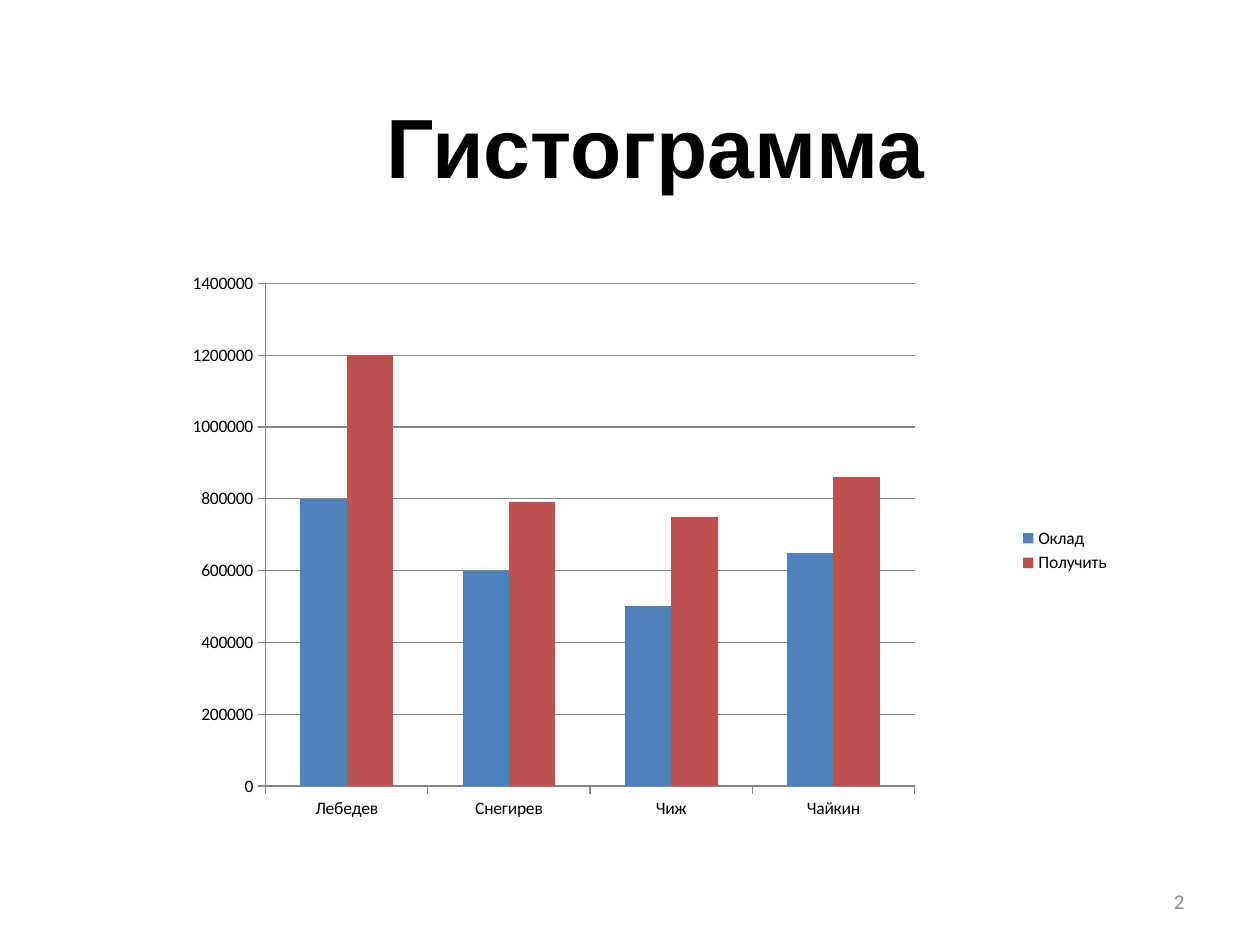
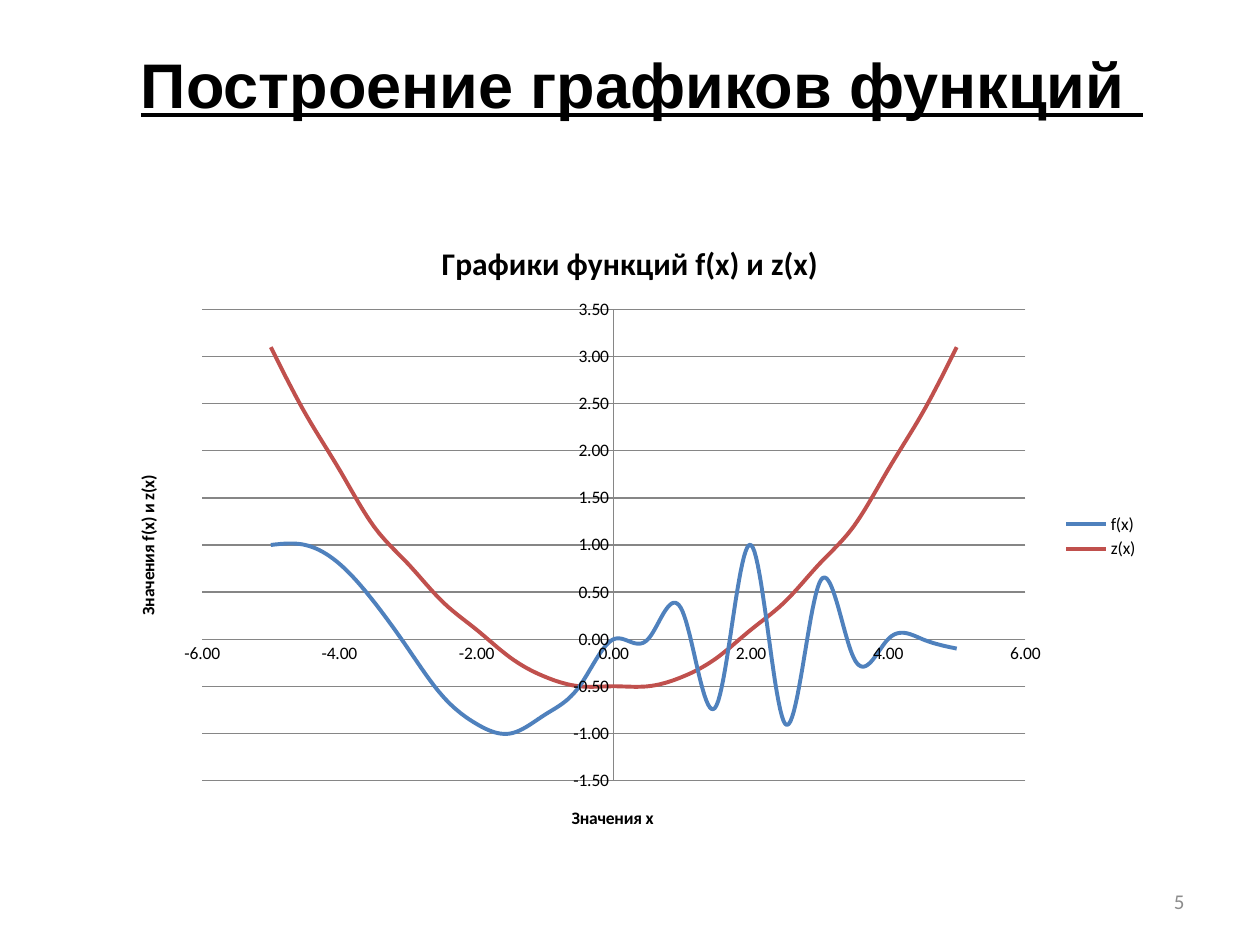
from math import sin
from pptx import Presentation
from pptx.chart.data import CategoryChartData, XyChartData
from pptx.dml.color import RGBColor
from pptx.enum.chart import XL_CHART_TYPE, XL_LEGEND_POSITION, XL_TICK_MARK
from pptx.enum.text import MSO_ANCHOR, PP_ALIGN
from pptx.oxml import parse_xml
from pptx.oxml.ns import nsdecls, qn
from pptx.util import Inches, Pt

HUES = {"ink": "000000", "note": "8C8C8C", "grid": "868686",
        "blue": "4F81BD", "red": "C0504D"}
PAIR = ("blue", "red")
HEAD = {"name": "Arial", "bold": True}
FOOT = {"name": "Calibri", "size": Pt(12)}
BODY = {"name": "Calibri", "size": Pt(10)}


def color(name):
    return RGBColor.from_string(HUES[name])


def apply(item, style):
    for key, value in style.items():
        setattr(item, key, value)


def paint(font, style, hue="ink"):
    apply(font, style)
    font.color.rgb = color(hue)


def add_text(slide, text, box, style, hue="ink", frame=None, align=PP_ALIGN.LEFT):
    body = slide.shapes.add_textbox(*map(Inches, box)).text_frame
    apply(body, {"word_wrap": True, **(frame or {})})
    line = body.paragraphs[0]
    line.alignment = align
    run = line.add_run()
    run.text = text
    paint(run.font, style, hue)


def add_page(slide, number):
    add_text(slide, number, (7.17, 6.95, 2.33, 0.4), FOOT, "note",
             {"vertical_anchor": MSO_ANCHOR.MIDDLE}, PP_ALIGN.RIGHT)


def set_plot(chart, place):
    area = chart.element.find(".//" + qn("c:plotArea"))
    for old in area.findall(qn("c:layout")):
        area.remove(old)
    modes = "".join(f'<c:{side}Mode val="edge"/>' for side in "xy")
    sizes = "".join(f'<c:{side} val="{size}"/>' for side, size in zip("xywh", place))
    area.insert(0, parse_xml(
        f'<c:layout {nsdecls("c")}><c:manualLayout><c:layoutTarget val="inner"/>'
        f'{modes}{sizes}</c:manualLayout></c:layout>'))


def set_title(owner, text, size):
    owner.has_title = True
    title = owner.chart_title if hasattr(owner, "chart_title") else owner.axis_title
    title.text_frame.text = text
    run = title.text_frame.paragraphs[0].runs[0]
    paint(run.font, {**BODY, "size": Pt(size), "bold": True})


def set_line(form, hue, width):
    form.color.rgb = color(hue)
    form.width = Pt(width)


def add_chart(slide, kind, data, box, place, tick, scale):
    chart = slide.shapes.add_chart(kind, *map(Inches, box), data).chart
    apply(chart, {"has_title": False, "has_legend": True})
    apply(chart.legend, {"position": XL_LEGEND_POSITION.RIGHT,
                         "include_in_layout": False})
    paint(chart.font, BODY)
    chart.plots[0].vary_by_categories = False
    for axis in (chart.category_axis, chart.value_axis):
        apply(axis, {"major_tick_mark": tick, "minor_tick_mark": XL_TICK_MARK.NONE,
                     "has_major_gridlines": axis is chart.value_axis})
        set_line(axis.format.line, "grid", 0.75)
    apply(chart.value_axis, scale)
    chart.value_axis.has_major_gridlines = True
    set_line(chart.value_axis.major_gridlines.format.line, "grid", 0.75)
    set_plot(chart, place)
    return chart


def add_bars(slide):
    data = CategoryChartData(number_format="General")
    data.categories = ["Лебедев", "Снегирев", "Чиж", "Чайкин"]
    data.add_series("Оклад", [800000, 600000, 500000, 650000])
    data.add_series("Получить", [1200000, 790000, 750000, 860000])
    chart = add_chart(
        slide, XL_CHART_TYPE.COLUMN_CLUSTERED, data, (0.86, 1.87, 8.05, 5),
        (0.155, 0.076, 0.64, 0.798), XL_TICK_MARK.OUTSIDE,
        {"minimum_scale": 0, "maximum_scale": 1400000, "major_unit": 200000})
    apply(chart.plots[0], {"gap_width": 150, "overlap": 0})
    for bar, hue in zip(chart.plots[0].series, PAIR):
        bar.format.fill.solid()
        bar.format.fill.fore_color.rgb = color(hue)


def add_curves(slide):
    steps = [n / 2 for n in range(-10, 11)]
    waves = [0, 0.3, -0.7, 1, -0.9, 0.6, -0.2, 0, 0, -0.1]
    curves = {"f(x)": [round(sin(x), 1) for x in steps if x <= 0] + waves,
              "z(x)": [round(x * x / 7 - 0.5, 1) for x in steps]}
    data = XyChartData(number_format="0.00")
    for name, values in curves.items():
        series = data.add_series(name)
        for x, y in zip(steps, values):
            series.add_data_point(x, y)
    chart = add_chart(
        slide, XL_CHART_TYPE.XY_SCATTER_SMOOTH_NO_MARKERS, data,
        (0.86, 1.72, 8.28, 5.08), (0.09, 0.145, 0.789, 0.736), XL_TICK_MARK.NONE,
        {"minimum_scale": -1.5, "maximum_scale": 3.5, "major_unit": 0.5})
    apply(chart.category_axis,
          {"minimum_scale": -6, "maximum_scale": 6, "major_unit": 2})
    for axis in (chart.category_axis, chart.value_axis):
        apply(axis.tick_labels, {"number_format": "0.00",
                                 "number_format_is_linked": False})
    set_title(chart, "Графики функций f(x) и z(x)", 18)
    set_title(chart.category_axis, "Значения x", 10)
    set_title(chart.value_axis, "Значения f(x) и z(x)", 10)
    for curve, hue in zip(chart.plots[0].series, PAIR):
        set_line(curve.format.line, hue, 2.25)
    for smooth in chart.element.iter(qn("c:smooth")):
        smooth.set("val", "1")


def main():
    deck = Presentation()
    apply(deck, {"slide_width": Inches(10), "slide_height": Inches(7.5)})
    blank = deck.slide_layouts[6]

    slide = deck.slides.add_slide(blank)
    add_bars(slide)
    add_text(slide, "Гистограмма", (2.97, 0.7, 5.47, 0.91), {**HEAD, "size": Pt(48)})
    add_page(slide, "2")

    slide = deck.slides.add_slide(blank)
    add_text(slide, "Построение графиков функций ", (1.02, 0.31, 8.23, 0.71),
             {**HEAD, "size": Pt(36), "underline": True}, frame={"word_wrap": False})
    add_curves(slide)
    add_page(slide, "5")

    deck.save("out.pptx")


if __name__ == "__main__":
    main()
